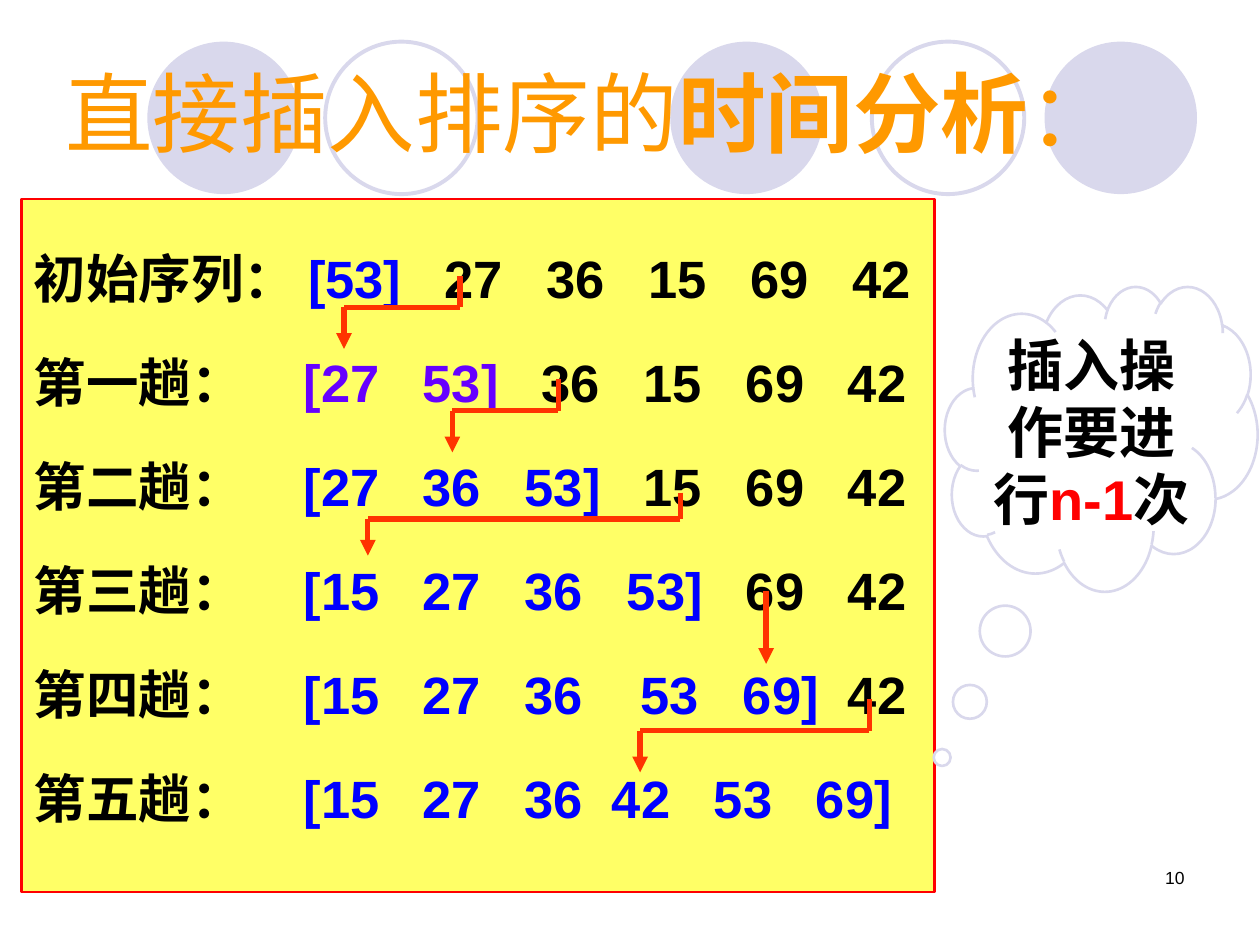
from itertools import pairwise

from lxml import etree
from pptx import Presentation
from pptx.dml.color import RGBColor
from pptx.enum.shapes import MSO_CONNECTOR, MSO_SHAPE
from pptx.enum.text import MSO_ANCHOR, PP_ALIGN
from pptx.oxml.ns import qn
from pptx.util import Pt

STRAIGHT = MSO_CONNECTOR.STRAIGHT
OVAL, RECTANGLE, CLOUD = MSO_SHAPE.OVAL, MSO_SHAPE.RECTANGLE, MSO_SHAPE.CLOUD_CALLOUT
TOP, MIDDLE = MSO_ANCHOR.TOP, MSO_ANCHOR.MIDDLE
LEFT, CENTER, RIGHT, JUSTIFY = (
    PP_ALIGN.LEFT, PP_ALIGN.CENTER, PP_ALIGN.RIGHT, PP_ALIGN.JUSTIFY)

WHITE = RGBColor(0xFF, 0xFF, 0xFF)
BLACK = RGBColor(0x00, 0x00, 0x00)
LAVENDER = RGBColor(0xD9, 0xD8, 0xEC)
ORANGE = RGBColor(0xFF, 0x99, 0x00)
YELLOW = RGBColor(0xFF, 0xFF, 0x66)
RED = RGBColor(0xFF, 0x00, 0x00)
BLUE = RGBColor(0x00, 0x00, 0xFF)
VIOLET = RGBColor(0x66, 0x00, 0xFF)
ARROW_RED = RGBColor(0xFF, 0x33, 0x00)

FONT = "Arial"
FIRST_COLUMN, SECOND_COLUMN, COLUMN_STEP = 154.3, 222.3, 58.3
BRACKET_WIDTH = 9.7
NO_NUDGE = (0, 0, 0)

# label, sorted part, unsorted part, colour, (first column, last column, shift)
PASSES = [
    ("初始序列：", "53", "27 36 15 69 42", BLUE, (0, 5, 2.5)),
    ("第一趟：", "27 53", "36 15 69 42", VIOLET, NO_NUDGE),
    ("第二趟：", "27 36 53", "15 69 42", BLUE, NO_NUDGE),
    ("第三趟：", "15 27 36 53", "69 42", BLUE, NO_NUDGE),
    ("第四趟：", "15 27 36 53 69", "42", BLUE, (3, 4, 8)),
    ("第五趟：", "15 27 36 42 53 69", "", BLUE, (3, 5, -8.5)),
]

# source x, target x, then top, turn and tip heights, all inside the panel
MOVES = [
    (250.6, 184.4, 43.9, 61.9, 85.6),
    (306.8, 246.3, 102.9, 120.9, 144.7),
    (376.6, 198, 167.7, 182.8, 203.7),
    (425.6, 425.6, 223.9, 223.9, 265.6),
    (484.6, 353.6, 285.8, 303.8, 327.6),
]


def add_span(para, text, size, color, bold=False):
    span = para.add_run()
    span.text = text
    span.font.name = FONT
    span.font.size = Pt(size)
    span.font.bold = bold
    span.font.color.rgb = color


def add_figure(shapes, kind, box, fill=None, line=None, width=1.5):
    figure = shapes.add_shape(kind, *map(Pt, box))
    figure.shadow.inherit = False
    if fill is None:
        figure.fill.background()
    else:
        figure.fill.solid()
        figure.fill.fore_color.rgb = fill
    if line is None:
        figure.line.fill.background()
    else:
        figure.line.color.rgb = line
        figure.line.width = Pt(width)
    return figure


def add_circles(page, left, top, size):
    group = page.shapes.add_group_shape()
    for offset, filled in [(298.8, True), (512.7, True), (0, True),
                           (414, False), (101.6, False)]:
        box = (left + offset, top, size, size)
        if filled:
            add_figure(group.shapes, OVAL, box, fill=LAVENDER)
        else:
            add_figure(group.shapes, OVAL, box, line=LAVENDER, width=2.25)


def add_title(page, box):
    frame = page.shapes.add_textbox(*map(Pt, box)).text_frame
    frame.word_wrap = False
    para = frame.paragraphs[0]
    para.alignment = LEFT
    for text, bold in [("直接插入排序的", False), ("时间分析", True), ("：", False)]:
        add_span(para, text, 50, ORANGE, bold)


def column_stops(sorted_count, total, nudge):
    """Tab stops of one pass; the closing bracket pushes the unsorted columns."""
    first, last, shift = nudge
    stops = []
    for column in range(total):
        stop = SECOND_COLUMN + COLUMN_STEP * (column - 1) if column else FIRST_COLUMN
        if column >= sorted_count:
            stop += BRACKET_WIDTH
        if first <= column <= last:
            stop += shift
        stops.append(stop)
    return stops


def set_tabs(para, stops):
    tabs = etree.SubElement(para._p.get_or_add_pPr(), qn("a:tabLst"))
    for stop in stops:
        etree.SubElement(tabs, qn("a:tab"), pos=str(int(Pt(stop))), algn="l")


def add_panel(page, box):
    panel = add_figure(page.shapes, RECTANGLE, box, fill=YELLOW, line=RED)
    frame = panel.text_frame
    frame.word_wrap = True
    frame.vertical_anchor = TOP
    for index, (label, done, rest, color, nudge) in enumerate(PASSES):
        para = frame.add_paragraph() if index else frame.paragraphs[0]
        para.alignment = JUSTIFY
        para.line_spacing = 1.65
        done, rest = done.split(), rest.split()
        set_tabs(para, column_stops(len(done), len(done) + len(rest), nudge))
        add_span(para, label, 30, BLACK, True)
        add_span(para, "\t[" + "\t".join(done) + "]", 30, color, True)
        if rest:
            add_span(para, "".join("\t" + number for number in rest), 30, BLACK, True)


def add_line(shapes, start, end, arrow):
    line = shapes.add_connector(STRAIGHT, *map(Pt, (*start, *end)))
    line.line.color.rgb = ARROW_RED
    line.line.width = Pt(3)
    if arrow:
        etree.SubElement(line.line._get_or_add_ln(), qn("a:tailEnd"), type="triangle")
    etree.SubElement(line._element.spPr, qn("a:effectLst"))


def add_moves(page, left, top):
    for source, target, start, turn, tip in MOVES:
        if source == target:
            shapes, corners = page.shapes, [(source, start), (target, tip)]
        else:
            shapes = page.shapes.add_group_shape().shapes
            corners = [(source, start), (source, turn), (target, turn), (target, tip)]
        corners = [(left + x, top + y) for x, y in corners]
        for begin, end in pairwise(corners):
            add_line(shapes, begin, end, arrow=end == corners[-1])


def add_cloud(page, box):
    cloud = add_figure(page.shapes, CLOUD, box, fill=WHITE, line=LAVENDER)
    cloud.adjustments[0] = -0.509
    cloud.adjustments[1] = 1.047
    frame = cloud.text_frame
    frame.word_wrap = True
    frame.vertical_anchor = MIDDLE
    frame.margin_left, frame.margin_right = Pt(1.4), Pt(0)
    para = frame.paragraphs[0]
    para.alignment = CENTER
    for text, color in [("插入操作要进行", BLACK), ("n-1", RED), ("次", BLACK)]:
        add_span(para, text, 32, color, True)


def add_page_number(page, box):
    frame = page.shapes.add_textbox(*map(Pt, box)).text_frame
    frame.word_wrap = True
    para = frame.paragraphs[0]
    para.alignment = RIGHT
    add_span(para, "10", 10, BLACK)


def main():
    deck = Presentation()
    deck.slide_width, deck.slide_height = Pt(720), Pt(540)
    page = deck.slides.add_slide(deck.slide_layouts[6])
    panel_left, panel_top = 12.2, 113.8
    add_circles(page, 84.2, 23.8, 87.1)
    add_title(page, (30.2, 30.2, 614.9, 67.7))
    add_panel(page, (panel_left, panel_top, 522, 396))
    add_cloud(page, (540, 163.4, 178.6, 174.2))
    add_moves(page, panel_left, panel_top)
    add_page_number(page, (516.2, 491.8, 167.8, 36))
    deck.save("out.pptx")


if __name__ == "__main__":
    main()
